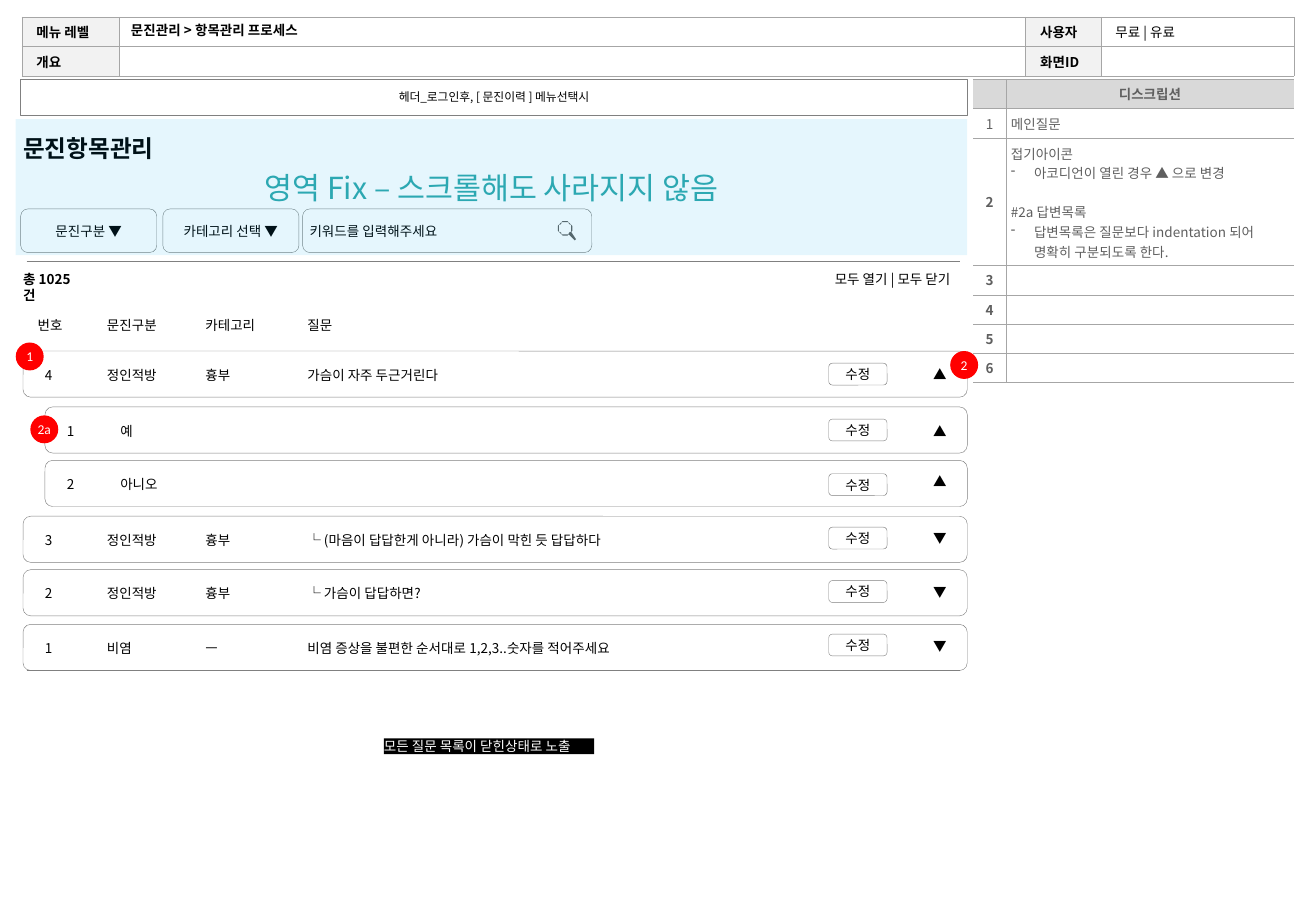
from dataclasses import dataclass
from math import cos, radians, sin

from lxml.etree import SubElement
from pptx import Presentation
from pptx.dml.color import RGBColor
from pptx.enum.shapes import MSO_CONNECTOR, MSO_SHAPE
from pptx.enum.text import MSO_ANCHOR, MSO_AUTO_SIZE, PP_ALIGN
from pptx.oxml import parse_xml
from pptx.oxml.ns import nsdecls, qn
from pptx.util import Pt

PX = 9144
SANS, LATIN = "Noto Sans CJK KR", "Calibri"
BLACK, WHITE = RGBColor(0, 0, 0), RGBColor(255, 255, 255)
GRAY, DARK = RGBColor(0x80, 0x80, 0x80), RGBColor(0x5F, 0x5F, 0x5F)
PALE, SILVER = RGBColor(0xF2, 0xF2, 0xF2), RGBColor(0xD9, 0xD9, 0xD9)
SKY, TEAL = RGBColor(0, 0xB0, 0xF0), RGBColor(0x2C, 0xA8, 0xB2)
RED = RGBColor(255, 0, 0)
BORDER = "A6A6A6"
RECT, ROUND, OVAL = MSO_SHAPE.RECTANGLE, MSO_SHAPE.ROUNDED_RECTANGLE, MSO_SHAPE.OVAL
STRAIGHT = MSO_CONNECTOR.STRAIGHT
LEFT, CENTER = PP_ALIGN.LEFT, PP_ALIGN.CENTER
TOP, MIDDLE = MSO_ANCHOR.TOP, MSO_ANCHOR.MIDDLE
GROW = MSO_AUTO_SIZE.SHAPE_TO_FIT_TEXT


@dataclass(frozen=True)
class Label:
    x: int
    width: int
    text: str


@dataclass(frozen=True)
class Row:
    left: int
    top: int
    edit: int
    mark: int
    is_open: bool
    labels: tuple[Label, ...]


@dataclass(frozen=True)
class Badge:
    x: int
    y: int
    text: str


def item(top, edit, mark, is_open, number, kind, part, ask) -> Row:
    """Describe a main question row."""
    labels = (Label(37, 6, number), Label(88, 11 * len(kind), kind),
              Label(169, 11 * len(part), part), ask)
    return Row(19, top, edit, mark, is_open, labels)


def reply(top, edit, mark, number, text) -> Row:
    """Describe an indented answer row."""
    return Row(37, top, edit, mark, True,
               (Label(55, 6, number), Label(99, 11 * len(text), text)))


ROWS = (
    item(289, 299, 302, True, "4", "정인적방", "흉부",
         Label(253, 120, "가슴이 자주 두근거린다")),
    reply(335, 345, 349, "1", "예"),
    reply(379, 390, 390, "2", "아니오"),
    item(425, 434, 436, False, "3", "정인적방", "흉부",
         Label(253, 271, "└ (마음이 답답한게 아니라) 가슴이 막힌 듯 답답하다")),
    item(469, 478, 481, False, "2", "정인적방", "흉부",
         Label(253, 103, "└ 가슴이 답답하면?")),
    item(514, 522, 525, False, "1", "비염", "ㅡ",
         Label(253, 273, "비염 증상을 불편한 순서대로 1,2,3..숫자를 적어주세요")),
)
HEADS = (Label(31, 22, "번호"), Label(88, 45, "문진구분"),
         Label(169, 45, "카테고리"), Label(253, 22, "질문"))
BADGES = (Badge(13, 282, "1"), Badge(25, 342, "2a"), Badge(782, 289, "2"))
MENU = (("메뉴 레벨", "", "사용자", "무료 | 유료"), ("개요", "", "화면ID", ""))
NOTES = (("", "디스크립션"), ("1", "메인질문"),
         ("2", "접기아이콘\n아코디언이 열린 경우 ▲ 으로 변경\n#2a 답변목록\n"
               "답변목록은 질문보다 indentation 되어 명확히 구분되도록 한다."),
         ("3", ""), ("4", ""), ("5", ""), ("6", ""))


def style(para, size=8, color=BLACK, bold=False, align=LEFT, face=SANS) -> None:
    """Set the font and alignment of a paragraph."""
    para.alignment = align
    font = para.font
    font.size, font.bold, font.name = Pt(size), bold, face
    font.color.rgb = color
    SubElement(para._p.pPr.find(qn("a:defRPr")), qn("a:ea"), typeface=face)


def inset(target, x: int, y: int) -> None:
    """Set the inner margins of a cell or text frame."""
    target.margin_left = target.margin_right = x * PX
    target.margin_top = target.margin_bottom = y * PX


def write(slide, x, y, width, text, height=13, wrap=False, **look):
    """Add a tight line of text."""
    box = slide.shapes.add_textbox(x * PX, y * PX, width * PX, height * PX)
    frame = box.text_frame
    inset(frame, 0, 0)
    frame.word_wrap, frame.auto_size = wrap, GROW
    frame.text = text
    style(frame.paragraphs[0], **look)
    return box


def draw(slide, kind, x, y, width, height, text="", fill=None, line=GRAY,
         pad=4, align=CENTER, **look):
    """Add a preset shape with middle text."""
    shape = slide.shapes.add_shape(kind, x * PX, y * PX, width * PX, height * PX)
    shape.shadow.inherit = False
    if fill is None:
        shape.fill.background()
    else:
        shape.fill.solid()
        shape.fill.fore_color.rgb = fill
    if line is None:
        shape.line.fill.background()
    else:
        shape.line.color.rgb, shape.line.width = line, Pt(0.25)
    if text:
        frame = shape.text_frame
        inset(frame, pad, pad)
        frame.word_wrap, frame.vertical_anchor = True, MIDDLE
        frame.text = text
        style(frame.paragraphs[0], align=align, **look)
    return shape


def rule(slide, y: int) -> None:
    """Add a full-width list rule."""
    line = slide.shapes.add_connector(STRAIGHT, 22 * PX, y * PX, 790 * PX, y * PX)
    line.line.color.rgb, line.line.width = GRAY, Pt(0.5)
    SubElement(line._element.spPr, qn("a:effectLst"))


def fill_cell(cell, text, fill, sides, pad, **look) -> None:
    """Write a table cell with its fill and borders."""
    cell.text, cell.vertical_anchor = text, MIDDLE
    inset(cell, pad, 4)
    cell.fill.solid()
    cell.fill.fore_color.rgb = fill
    for spot, side in enumerate("LRTB"):
        paint = (f'<a:solidFill><a:srgbClr val="{BORDER}"/></a:solidFill>'
                 if side in sides else "<a:noFill/>")
        cell._tc.tcPr.insert(spot, parse_xml(
            f'<a:ln{side} {nsdecls("a")} w="3175">{paint}</a:ln{side}>'))
    paras = cell.text_frame.paragraphs
    for index, para in enumerate(paras):
        if index % 2 and len(paras) > 1:
            props = para._p.get_or_add_pPr()
            props.set("marL", str(19 * PX))
            props.set("indent", str(-19 * PX))
            SubElement(props, qn("a:buChar"), char="-")
        elif index:
            para.space_before = Pt(11.6)
        style(para, **look)


def grid(slide, x, y, widths, heights):
    """Add a plain table with the given column and row sizes."""
    table = slide.shapes.add_table(len(heights), len(widths), x * PX, y * PX,
                                   sum(widths) * PX, sum(heights) * PX).table
    table.first_row = table.horz_banding = False
    for column, width in zip(table.columns, widths):
        column.width = width * PX
    for row, height in zip(table.rows, heights):
        row.height = height * PX
    return table


def lens(slide) -> None:
    """Add the search icon."""
    def ring(radius, first, last):
        return [(465 + radius * cos(radians(a)), 188 + radius * sin(radians(a)))
                for a in range(first, last + 1, 10)]
    outer, inner = ring(6, 55, 395), ring(5.3, 0, 360)
    pen = slide.shapes.build_freeform(*outer[0], scale=PX)
    pen.add_line_segments(outer[1:] + [(474, 197), (473, 198)])
    pen.move_to(*inner[0])
    pen.add_line_segments(inner[1:])
    icon = pen.convert_to_shape()
    icon.shadow.inherit = False
    icon.fill.solid()
    icon.fill.fore_color.rgb = DARK
    icon.line.fill.background()


def main() -> None:
    """Build the question list screen."""
    deck = Presentation()
    deck.slide_width, deck.slide_height = 1083 * PX, 750 * PX
    slide = deck.slides.add_slide(deck.slide_layouts[6])
    menu = grid(slide, 18, 14, (80, 746, 62, 159), (24, 24))
    for r, texts in enumerate(MENU):
        for c, text in enumerate(texts):
            head = c % 2 == 0
            fill_cell(menu.cell(r, c), text, PALE if head else WHITE, "LRTB", 12, bold=head)
    title = write(slide, 98, 14, 746, "문진관리 > 항목관리 프로세스", 22, True, bold=True)
    inset(title.text_frame, 10, 5)
    title.text_frame.vertical_anchor = MIDDLE
    draw(slide, RECT, 17, 65, 779, 30, "헤더_로그인후, [ 문진이력 ] 메뉴선택시", WHITE, size=7)
    notes = grid(slide, 801, 65, (27, 237), (24, 25, 104, 25, 24, 24, 24))
    for r, texts in enumerate(NOTES):
        for c, text in enumerate(texts):
            fill_cell(notes.cell(r, c), text, WHITE if r else SILVER, "LTB" if c else "RTB", 4,
                      color=DARK, bold=r == 0 or (c == 0 and r > 1),
                      align=LEFT if r and c else CENTER)
    write(slide, 19, 110, 118, "문진항목관리", 24, size=14, bold=True)
    draw(slide, ROUND, 249, 172, 238, 36, "키워드를 입력해주세요", WHITE, align=LEFT)
    lens(slide)
    for x, text in ((17, "문진구분 ▼"), (134, "카테고리 선택 ▼")):
        draw(slide, ROUND, x, 172, 112, 36, text)
    band = draw(slide, RECT, 13, 98, 783, 112, "영역 Fix – 스크롤해도 사라지지 않음",
                SKY, None, size=18, color=TEAL)
    SubElement(band._element.spPr.find(qn("a:solidFill"))[0], qn("a:alpha"), val="10000")
    for y in (215, 552):
        rule(slide, y)
    write(slide, 19, 223, 51, "총 1025 건", wrap=True, bold=True)
    write(slide, 687, 223, 109, "모두 열기 | 모두 닫기")
    for head in HEADS:
        write(slide, head.x, 261, head.width, head.text)
    for row in ROWS:
        draw(slide, ROUND, row.left, row.top, 796 - row.left, 38)
        for label in row.labels:
            write(slide, label.x, row.top + 13, label.width, label.text)
        draw(slide, ROUND, 682, row.edit, 48, 18, "수정", WHITE)
        mark = write(slide, 768, row.mark, 11, "▼")
        mark.rotation = 180 if row.is_open else 0
    for badge in BADGES:
        draw(slide, OVAL, badge.x, badge.y, 23, 23, badge.text, RED, None, 0,
             color=WHITE, face=LATIN)
    hint = write(slide, 316, 608, 173, "모든 질문 목록이 닫힌상태로 노출", color=WHITE)
    hint.fill.solid()
    hint.fill.fore_color.rgb = BLACK
    deck.save("out.pptx")


if __name__ == "__main__":
    main()
